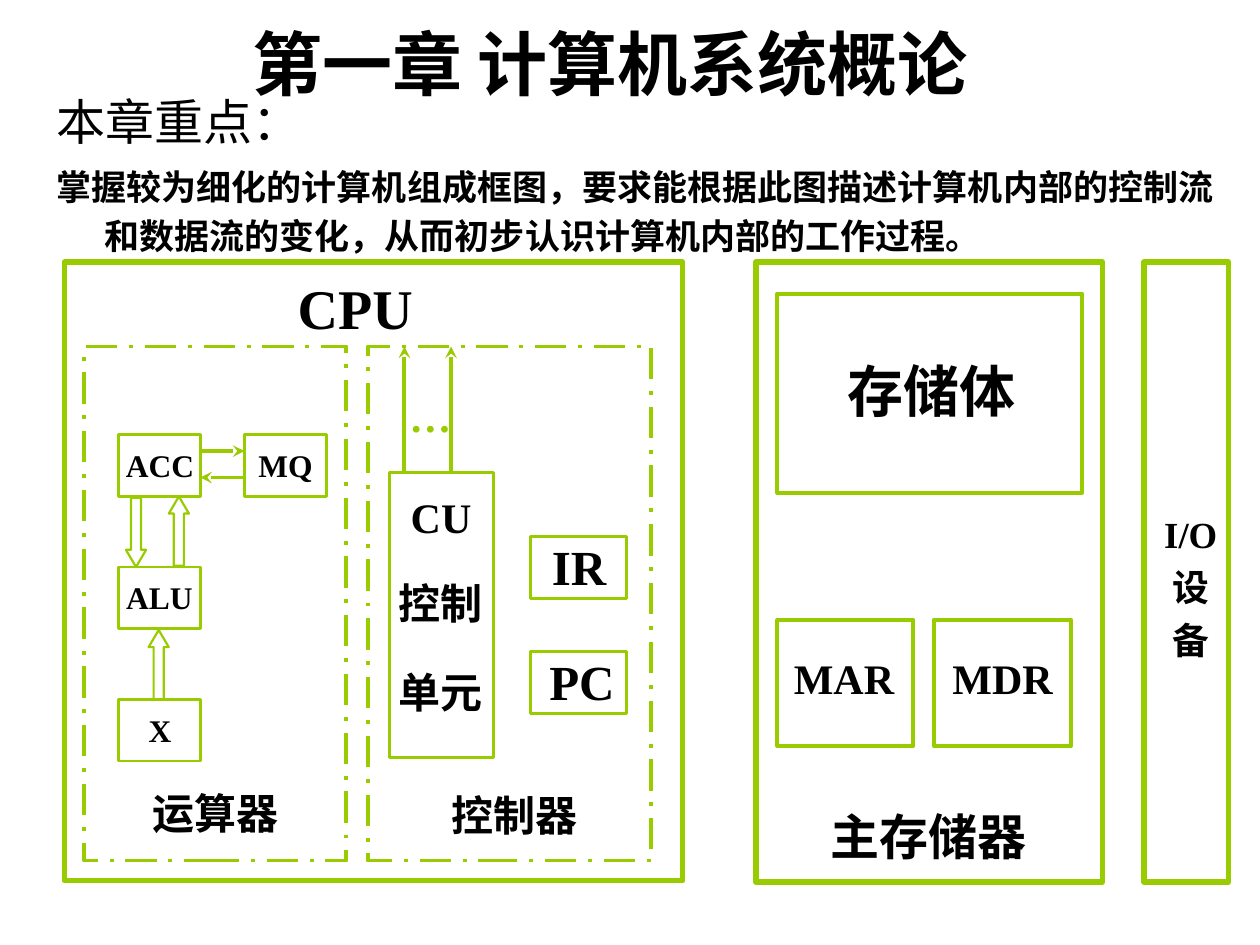
import pptx
import pptx.dml.color
import pptx.enum.dml
import pptx.enum.shapes
import pptx.enum.text
import pptx.oxml
import pptx.oxml.ns
import pptx.util
from pptx.util import Inches

BLACK = pptx.dml.color.RGBColor(0x00, 0x00, 0x00)
GREEN = pptx.dml.color.RGBColor(0x99, 0xCC, 0x00)
SANS = "Arial"
SERIF = "Times New Roman"
CHINESE = "Noto Sans CJK SC"
LINE_HEIGHT = 1.2  # in font sizes
SHAPE = pptx.enum.shapes.MSO_SHAPE
CENTER = pptx.enum.text.PP_ALIGN.CENTER
LEFT = pptx.enum.text.PP_ALIGN.LEFT

presentation = pptx.Presentation()
presentation.slide_width = Inches(10)
presentation.slide_height = Inches(7.5)
slide = presentation.slides.add_slide(presentation.slide_layouts[6])


def add_outline(kind, left, top, width, height, weight):
    shape = slide.shapes.add_shape(
        kind, Inches(left), Inches(top), Inches(width), Inches(height))
    shape.shadow.inherit = False
    shape.fill.background()
    shape.line.color.rgb = GREEN
    shape.line.width = pptx.util.Pt(weight)
    return shape


def add_text(lines, left, top, width, height, size, font, align=LEFT,
             bold=True, color=BLACK, inset=0):
    """Add a text box with one paragraph per line; return its text frame."""
    box = slide.shapes.add_textbox(
        Inches(left), Inches(top), Inches(width), Inches(height))
    frame = box.text_frame
    frame.word_wrap = True
    frame.margin_left = frame.margin_right = Inches(inset)
    frame.margin_top = frame.margin_bottom = Inches(inset / 2)
    for index, line in enumerate(lines):
        paragraph = frame.paragraphs[0] if index == 0 else frame.add_paragraph()
        paragraph.alignment = align
        paragraph.line_spacing = pptx.util.Pt(round(size * LINE_HEIGHT, 1))
        if index:
            paragraph.space_before = pptx.util.Pt(5.2)
        run = paragraph.add_run()
        run.text = line
        run.font.size = pptx.util.Pt(size)
        run.font.bold = bold
        run.font.color.rgb = color
        run.font.name = font
        east_asian = pptx.oxml.parse_xml(
            f'<a:ea {pptx.oxml.ns.nsdecls("a")} typeface="{CHINESE}"/>')
        run.font._element.append(east_asian)
    return frame


# Heading and key points
title = add_text(["第一章 计算机系统概论"], 0.59, 0, 8.5, 0.99, 40, SANS,
                 CENTER, inset=0.1)
title.vertical_anchor = pptx.enum.text.MSO_ANCHOR.MIDDLE
key_points = add_text(["本章重点：",
                       "掌握较为细化的计算机组成框图，要求能根据此图描述计算机内部的控制流"
                       "和数据流的变化，从而初步认识计算机内部的工作过程。"],
                      0.35, 0.68, 9.65, 1.4, 28, SANS, bold=False, inset=0.1)
explanation = key_points.paragraphs[1]
explanation.line_spacing = pptx.util.Pt(28.3)
explanation.space_before = pptx.util.Pt(4)
explanation.runs[0].font.size = pptx.util.Pt(20)
explanation.runs[0].font.bold = True
for paragraph in key_points.paragraphs:
    properties = paragraph._p.get_or_add_pPr()
    properties.set("marL", str(Inches(0.38)))
    properties.set("indent", str(-Inches(0.38)))

# CPU, main memory and I/O frames, then the blocks inside them
boxes = [
    (0.51, 2.08, 4.91, 4.91, 3),
    (6, 2.08, 2.75, 4.92, 3),
    (9.08, 2.08, 0.67, 4.92, 3),
    (6.17, 2.33, 2.42, 1.58, 2.25),
    (6.17, 4.92, 1.08, 1, 2.25),
    (7.41, 4.92, 1.09, 1, 2.25),
    (3.09, 3.75, 0.83, 2.26, 1.64),
    (4.21, 4.26, 0.76, 0.49, 1.64),
    (4.21, 5.17, 0.76, 0.49, 1.64),
    (0.94, 3.45, 0.65, 0.49, 1.64),
    (1.94, 3.45, 0.65, 0.49, 1.64),
    (0.94, 4.5, 0.65, 0.49, 1.64),
    (0.94, 5.55, 0.65, 0.49, 1.64),
]
for left, top, width, height, weight in boxes:
    add_outline(SHAPE.RECTANGLE, left, top, width, height, weight)

for left, width in [(0.67, 2.08), (2.92, 2.25)]:
    unit = add_outline(SHAPE.RECTANGLE, left, 2.75, width, 4.08, 2.25)
    unit.line.dash_style = pptx.enum.dml.MSO_LINE.LONG_DASH_DOT

# Data paths between ACC, ALU and X
for kind, left, top in [(SHAPE.DOWN_ARROW, 1, 3.95),
                        (SHAPE.UP_ARROW, 1.34, 3.94),
                        (SHAPE.UP_ARROW, 1.18, 5)]:
    arrow = add_outline(kind, left, top, 0.16, 0.55, 1.25)
    arrow.adjustments[0] = 0.5
    arrow.adjustments[1] = 0.85

# Control signals from CU, and the exchange between ACC and MQ
for start_x, start_y, end_x, end_y in [(3.21, 3.75, 3.21, 2.75),
                                       (3.58, 3.75, 3.58, 2.75),
                                       (1.59, 3.58, 1.94, 3.58),
                                       (1.94, 3.79, 1.59, 3.79)]:
    connector = slide.shapes.add_connector(
        pptx.enum.shapes.MSO_CONNECTOR.STRAIGHT,
        Inches(start_x), Inches(start_y), Inches(end_x), Inches(end_y))
    connector.line.color.rgb = GREEN
    connector.line.width = pptx.util.Pt(2.25)
    connector.line._get_or_add_ln().append(pptx.oxml.parse_xml(
        f'<a:tailEnd {pptx.oxml.ns.nsdecls("a")} type="stealth"/>'))
    connector._element.spPr.append(pptx.oxml.parse_xml(
        f'<a:effectLst {pptx.oxml.ns.nsdecls("a")}/>'))

# Labels that start at the left of their box
labels = [
    ("CU", 3.26, 3.9, 0.99, 0.4, 24, SERIF),
    ("控制", 3.16, 4.58, 1.03, 0.4, 24, CHINESE),
    ("单元", 3.16, 5.29, 0.9, 0.4, 24, CHINESE),
    ("IR", 4.38, 4.26, 1.04, 0.47, 28, SERIF),
    ("PC", 4.36, 5.17, 1.14, 0.47, 28, SERIF),
    ("运算器", 1.21, 6.25, 1.36, 0.4, 24, CHINESE),
    ("控制器", 3.58, 6.27, 1.42, 0.4, 24, CHINESE),
    ("ACC", 1, 3.54, 0.93, 0.3, 18, SERIF),
    ("MQ", 2.05, 3.54, 0.72, 0.3, 18, SERIF),
    ("X", 1.18, 5.64, 0.46, 0.3, 18, SERIF),
    ("MAR", 6.3, 5.18, 1.09, 0.4, 24, SERIF),
    ("MDR", 7.56, 5.18, 1, 0.4, 24, SERIF),
    ("主存储器", 6.59, 6.4, 1.85, 0.47, 28, CHINESE),
]
for text, left, top, width, height, size, font in labels:
    add_text([text], left, top, width, height, size, font)

# Centred labels, in boxes wide enough to keep each on one line
add_text(["CPU"], 2.32, 2.17, 1, 0.53, 32, SERIF, CENTER)
add_text(["ALU"], 0.94, 4.59, 0.65, 0.3, 18, SERIF, CENTER)
add_text(["存储体"], 6.5, 2.83, 1.79, 0.54, 32, CHINESE, CENTER)
add_text(["…"], 3.15, 3.1, 0.53, 0.4, 24, SERIF, CENTER, color=GREEN)
add_text(["I/O", "设", "备"], 9.14, 4.06, 0.62, 1.2, 21, SERIF, CENTER)

presentation.save("out.pptx")
